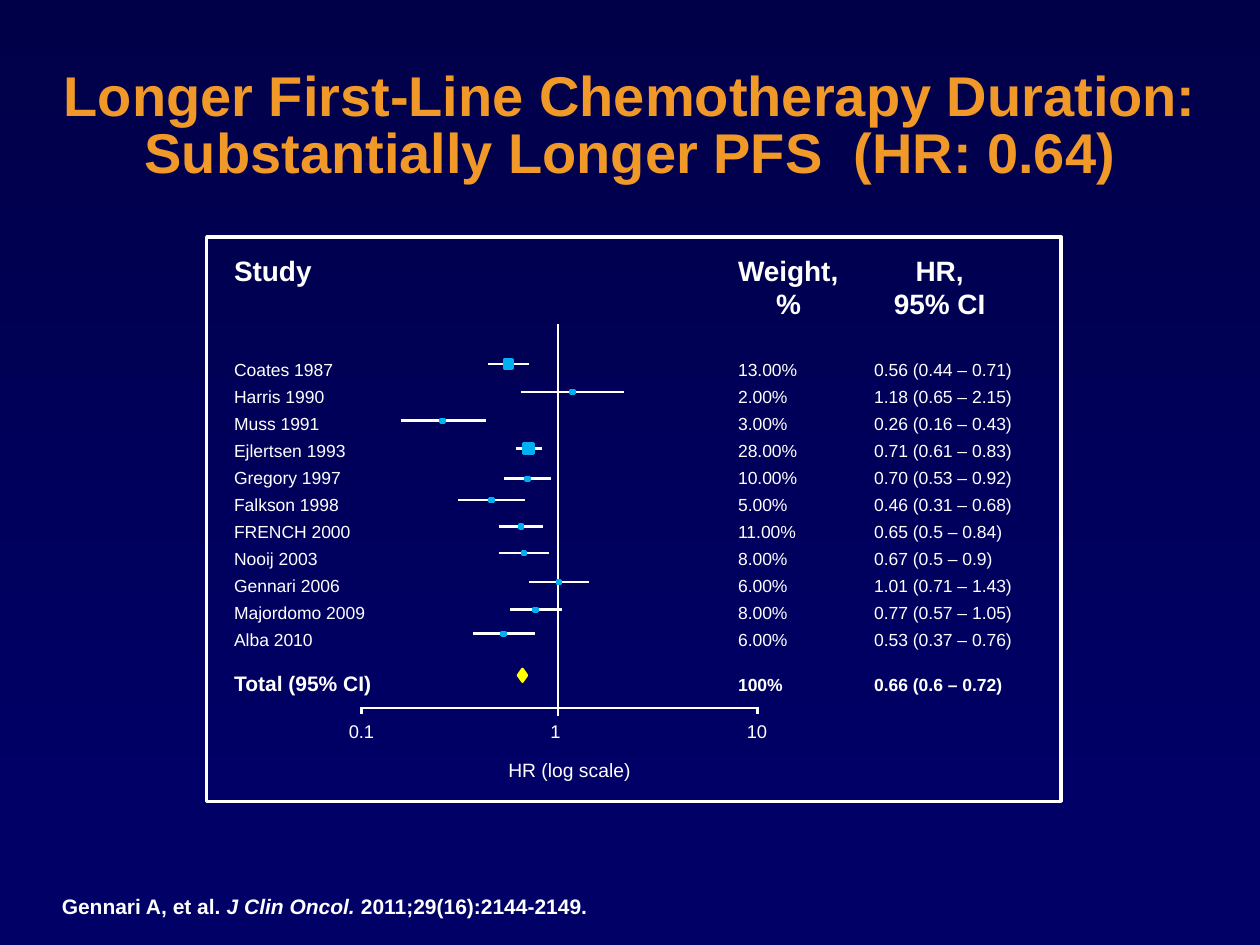
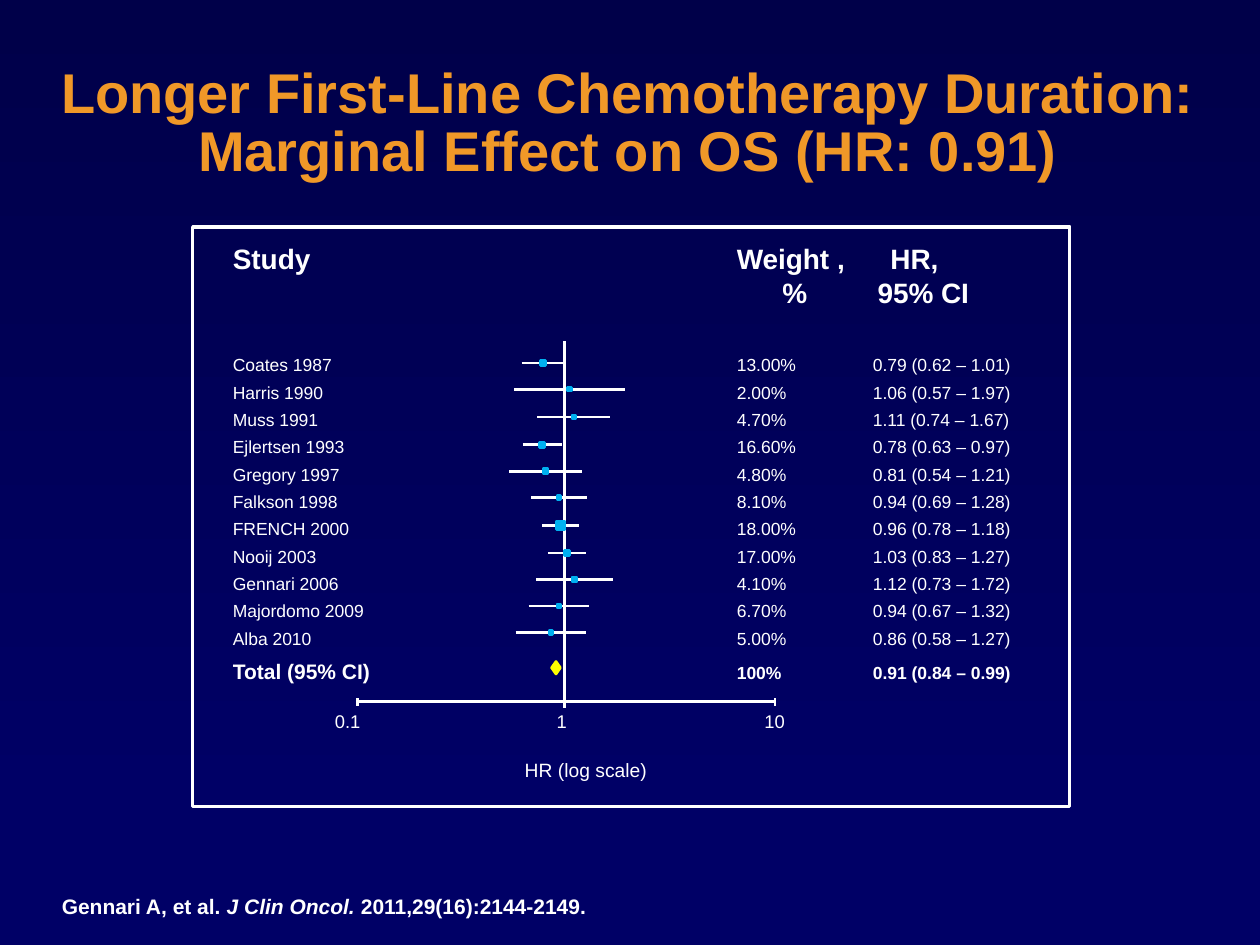
from collections import namedtuple
from math import log10

from lxml import etree
from pptx import Presentation
from pptx.dml.color import RGBColor
from pptx.enum import shapes, text
from pptx.oxml import ns
from pptx.util import Inches, Pt

# Shared look
NAVY = RGBColor(0x00, 0x00, 0x66)
DARK_NAVY = RGBColor(0x00, 0x00, 0x49)
ORANGE = RGBColor(0xF0, 0x98, 0x28)
WHITE = RGBColor(0xFF, 0xFF, 0xFF)
CYAN = RGBColor(0x00, 0xB0, 0xF0)
YELLOW = RGBColor(0xFF, 0xFF, 0x00)
FONT = "Arial"
LINE_WIDTH = 1.5
WEIGHT_TAB, HR_TAB = 4.0, 5.08

# One study: name, weight, hazard ratio, interval ends, plot height, marker size
Study = namedtuple("Study", "name weight hr low high y marker")
# unit_x is where HR = 1 lies; decade is the width of a factor of ten
Plot = namedtuple("Plot", "unit_x decade top bottom axis_y ticks tick_span")

PFS_STUDIES = [Study(*row) for row in (
    ("Coates 1987", "13.00%", "0.56", "0.44", "0.71", 2.89, 0.07),
    ("Harris 1990", "2.00%", "1.18", "0.65", "2.15", 3.11, 0.03),
    ("Muss 1991", "3.00%", "0.26", "0.16", "0.43", 3.34, 0.03),
    ("Ejlertsen 1993", "28.00%", "0.71", "0.61", "0.83", 3.56, 0.08),
    ("Gregory 1997", "10.00%", "0.70", "0.53", "0.92", 3.8, 0.03),
    ("Falkson 1998", "5.00%", "0.46", "0.31", "0.68", 3.97, 0.03),
    ("FRENCH 2000", "11.00%", "0.65", "0.5", "0.84", 4.18, 0.03),
    ("Nooij 2003", "8.00%", "0.67", "0.5", "0.9", 4.39, 0.03),
    ("Gennari 2006", "6.00%", "1.01", "0.71", "1.43", 4.62, 0.03),
    ("Majordomo 2009", "8.00%", "0.77", "0.57", "1.05", 4.84, 0.03),
    ("Alba 2010", "6.00%", "0.53", "0.37", "0.76", 5.03, 0.03),
)]
PFS_TOTAL = Study("Total (95% CI)", "100%", "0.66", "0.6", "0.72", 5.36, 0.07)

OS_STUDIES = [Study(*row) for row in (
    ("Coates 1987", "13.00%", "0.79", "0.62", "1.01", 2.88, 0.04),
    ("Harris 1990", "2.00%", "1.06", "0.57", "1.97", 3.09, 0.03),
    ("Muss 1991", "4.70%", "1.11", "0.74", "1.67", 3.31, 0.03),
    ("Ejlertsen 1993", "16.60%", "0.78", "0.63", "0.97", 3.53, 0.04),
    ("Gregory 1997", "4.80%", "0.81", "0.54", "1.21", 3.74, 0.04),
    ("Falkson 1998", "8.10%", "0.94", "0.69", "1.28", 3.95, 0.03),
    ("FRENCH 2000", "18.00%", "0.96", "0.78", "1.18", 4.17, 0.07),
    ("Nooij 2003", "17.00%", "1.03", "0.83", "1.27", 4.39, 0.04),
    ("Gennari 2006", "4.10%", "1.12", "0.73", "1.72", 4.6, 0.04),
    ("Majordomo 2009", "6.70%", "0.94", "0.67", "1.32", 4.81, 0.03),
    ("Alba 2010", "5.00%", "0.86", "0.58", "1.27", 5.02, 0.03),
)]
OS_TOTAL = Study("Total (95% CI)", "100%", "0.91", "0.84", "0.99", 5.3, 0.07)


# Basic elements
def add_box(s, left, top, width, height):
    tf = s.shapes.add_textbox(*map(Inches, (left, top, width, height))).text_frame
    tf.word_wrap = True
    return tf


def style_runs(p, size, color=WHITE, bold=False):
    for r in p.runs:
        r.font.name = FONT
        r.font.size = Pt(size)
        r.font.bold = bold
        r.font.color.rgb = color


def set_tabs(p, *stops):
    """Each stop is a position in inches and an alignment, l or ctr."""
    tabs = etree.SubElement(p._p.get_or_add_pPr(), ns.qn("a:tabLst"))
    for position, align in stops:
        etree.SubElement(tabs, ns.qn("a:tab"), pos=str(Inches(position)), algn=align)


def add_line(s, x1, y1, x2, y2):
    line = s.shapes.add_connector(
        shapes.MSO_CONNECTOR.STRAIGHT, *map(Inches, (x1, y1, x2, y2)))
    line.line.color.rgb = WHITE
    line.line.width = Pt(LINE_WIDTH)
    etree.SubElement(line._element.spPr, ns.qn("a:effectLst"))


def add_shape(s, kind, left, top, width, height, fill=None, line=None, weight=LINE_WIDTH):
    sp = s.shapes.add_shape(kind, *map(Inches, (left, top, width, height)))
    sp.shadow.inherit = False
    if fill is None:
        sp.fill.background()
    else:
        sp.fill.solid()
        sp.fill.fore_color.rgb = fill
    if line is None:
        sp.line.fill.background()
    else:
        sp.line.color.rgb = line
        sp.line.width = Pt(weight)
    return sp


def add_marker(s, kind, x, y, width, height, color):
    add_shape(s, kind, x - width / 2, y - height / 2, width, height, color, color)


# Slide parts
def add_backdrop(s):
    band = add_shape(s, shapes.MSO_SHAPE.RECTANGLE, 0, 0, 10, 6.42)
    band.fill.gradient()
    band.fill.gradient_angle = 270
    for stop, color in zip(band.fill.gradient_stops, (DARK_NAVY, NAVY)):
        stop.color.rgb = color


def add_title(s, title, left, top, width):
    tf = add_box(s, left, top, width, 1.25)
    tf.vertical_anchor = text.MSO_ANCHOR.MIDDLE
    p = tf.paragraphs[0]
    p.text = title
    p.alignment = text.PP_ALIGN.CENTER
    p.line_spacing = 0.85
    style_runs(p, 32, ORANGE, bold=True)
    for r in p.runs:
        effects = etree.Element(ns.qn("a:effectLst"))
        shadow = etree.SubElement(effects, ns.qn("a:outerShdw"),
                                  dist="35921", dir="2700000")
        etree.SubElement(shadow, ns.qn("a:srgbClr"), val="000000")
        r._r.rPr.find(ns.qn("a:solidFill")).addnext(effects)


def add_citation(s, issue):
    tf = add_box(s, 0.27, 7.09, 6.58, 0.2)
    tf.margin_left, tf.margin_right = Inches(0.22), Inches(0.04)
    tf.margin_top = tf.margin_bottom = 0
    p = tf.paragraphs[0]
    for part in ("Gennari A, et al. ", "J Clin Oncol. ", issue):
        p.add_run().text = part
    style_runs(p, 12, bold=True)
    p.runs[1].font.italic = True


def add_study_list(s, studies, total, left, top, weight_head, percent_x, hr_centers,
                   spacing, row_gap, first_gap, total_spacing, total_gap):
    tf = add_box(s, left, top, 6.6, 3.8)

    # Two header lines
    first, second = tf.paragraphs[0], tf.add_paragraph()
    first.text = f"Study\t{weight_head}\tHR,"
    second.text = "\t%\t95% CI"
    set_tabs(first, (WEIGHT_TAB, "l"), (hr_centers[0], "ctr"))
    set_tabs(second, (percent_x, "ctr"), (hr_centers[1], "ctr"))
    for p in (first, second):
        style_runs(p, 16, bold=True)

    # Studies, then the total
    for study in studies + [total]:
        is_total = study is total
        p = tf.add_paragraph()
        set_tabs(p, (WEIGHT_TAB, "l"), (HR_TAB, "l"))
        p.add_run().text = study.name + "\t"
        p.add_run().text = f"{study.weight}\t{study.hr} ({study.low} – {study.high})"
        p.line_spacing = total_spacing if is_total else spacing
        gap = total_gap if is_total else row_gap
        p.space_before = Pt(first_gap if study is studies[0] else gap)
        style_runs(p, 10, bold=is_total)
        if is_total:
            p.runs[0].font.size = Pt(12)


def add_forest_plot(s, studies, total, plot):
    def x_of(ratio):
        return plot.unit_x + plot.decade * log10(float(ratio))

    add_line(s, plot.unit_x, plot.top, plot.unit_x, plot.bottom)
    for study in studies:
        add_line(s, x_of(study.low), study.y, x_of(study.high), study.y)
    for study in studies:
        add_marker(s, shapes.MSO_SHAPE.RECTANGLE, x_of(study.hr), study.y,
                   study.marker, study.marker, CYAN)
    add_marker(s, shapes.MSO_SHAPE.FLOWCHART_DECISION, x_of(total.hr), total.y,
               total.marker, 0.1, YELLOW)

    # Axis with end ticks
    start, end = plot.ticks
    add_line(s, start, plot.axis_y, end, plot.axis_y)
    for x in plot.ticks:
        add_line(s, x, plot.tick_span[0], x, plot.tick_span[1])


def add_axis_labels(s, plot, left, top, caption_center):
    text_left = left + 0.1
    p = add_box(s, left, top, 4.2, 0.28).paragraphs[0]
    p.text = "0.1\t1\t10"
    set_tabs(p, (plot.unit_x - 0.02 - text_left, "ctr"), (plot.ticks[1] - text_left, "ctr"))
    style_runs(p, 10.5)

    p = add_box(s, caption_center - 1.48, 5.97, 2.96, 0.35).paragraphs[0]
    p.text = "HR (log scale)"
    p.alignment = text.PP_ALIGN.CENTER
    style_runs(p, 11)


def new_slide(prs, title, title_at, issue, frame):
    s = prs.slides.add_slide(prs.slide_layouts[6])
    add_backdrop(s)
    add_title(s, title, *title_at)
    add_citation(s, issue)
    add_shape(s, shapes.MSO_SHAPE.RECTANGLE, *frame, line=WHITE, weight=2)
    return s


def main():
    prs = Presentation()
    prs.slide_width, prs.slide_height = Inches(10), Inches(7.5)
    background = prs.slide_master.background.fill
    background.solid()
    background.fore_color.rgb = NAVY

    # Progression-free survival
    s = new_slide(prs, "Longer First-Line Chemotherapy Duration:\n"
                  "Substantially Longer PFS  (HR: 0.64)", (0.2, 0.39, 9.61),
                  "2011;29(16):2144-2149.", (1.64, 1.88, 6.78, 4.48))
    add_study_list(s, PFS_STUDIES, PFS_TOTAL, 1.76, 1.96, "Weight,", 4.4, (5.6, 5.6),
                   spacing=1.1, row_gap=2.2, first_gap=20.9,
                   total_spacing=1.1, total_gap=10.3)
    plot = Plot(4.43, 1.57, 2.57, 5.68, 5.62, (2.87, 6.01), (5.61, 5.67))
    add_forest_plot(s, PFS_STUDIES, PFS_TOTAL, plot)
    add_axis_labels(s, plot, 2.67, 5.67, 4.52)

    # Overall survival
    s = new_slide(prs, "Longer First-Line Chemotherapy Duration:\n"
                  "Marginal Effect on OS (HR: 0.91)", (0.12, 0.37, 9.73),
                  "2011,29(16):2144-2149.", (1.53, 1.8, 6.96, 4.6))
    add_study_list(s, OS_STUDIES, OS_TOTAL, 1.75, 1.87, "Weight ,", 4.46, (5.41, 5.48),
                   spacing=1.3, row_gap=0, first_gap=22.4,
                   total_spacing=1.2, total_gap=2.8)
    plot = Plot(4.48, 1.64, 2.71, 5.62, 5.57, (2.84, 6.15), (5.54, 5.6))
    add_forest_plot(s, OS_STUDIES, OS_TOTAL, plot)
    add_axis_labels(s, plot, 2.56, 5.59, 4.65)

    prs.save("out.pptx")


if __name__ == "__main__":
    main()
